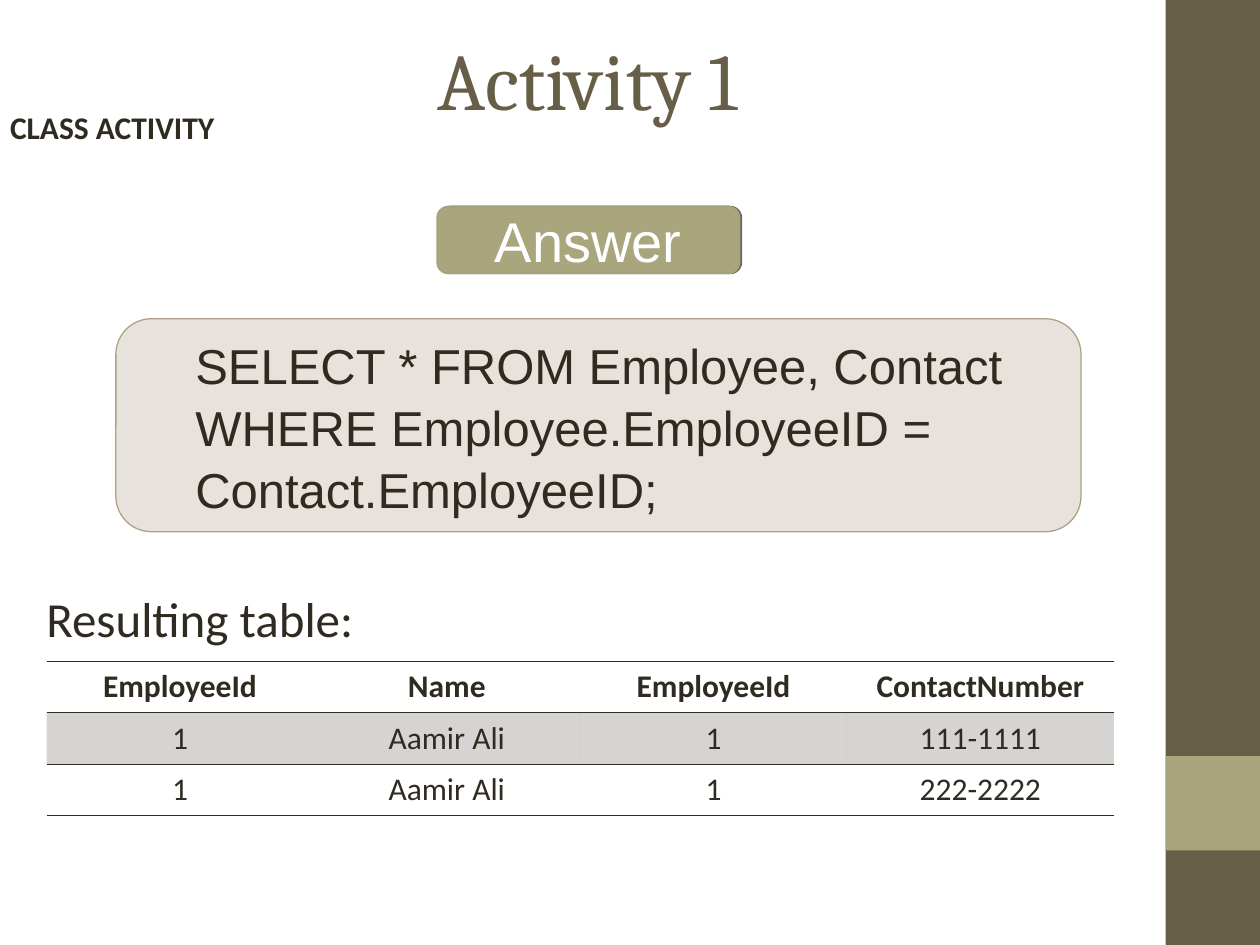
from dataclasses import dataclass

from lxml import etree
from pptx import Presentation
from pptx.dml.color import RGBColor
from pptx.enum.shapes import MSO_SHAPE
from pptx.enum.text import MSO_ANCHOR, PP_ALIGN
from pptx.oxml import parse_xml
from pptx.oxml.ns import nsdecls, qn
from pptx.util import Emu, Inches, Pt

RECT, ROUNDED = MSO_SHAPE.RECTANGLE, MSO_SHAPE.ROUNDED_RECTANGLE
LEFT, CENTER = PP_ALIGN.LEFT, PP_ALIGN.CENTER
TOP, MIDDLE = MSO_ANCHOR.TOP, MSO_ANCHOR.MIDDLE
PLAIN_TABLE = "{2D5ABB26-0587-4C30-8999-92F81FD0307C}"


@dataclass(frozen=True)
class Theme:
    ink: str = "2F2B20"
    brown: str = "675E47"
    olive: str = "A9A57C"
    olive_edge: str = "A6A278"
    sand: str = "B1A089"
    white: str = "FFFFFF"
    heading: str = "Cambria"
    body: str = "Calibri"
    code: str = "Arial"
    title_size: float = 46
    answer_size: float = 32
    text_size: float = 28
    small_size: float = 18
    rule: float = 0.45


THEME = Theme()
WIDTH, HEIGHT = 10, 7.5
TITLE = "Activity 1"
SECTION = "CLASS ACTIVITY"
ANSWER = "Answer"
QUERY = "SELECT * FROM Employee, Contact WHERE Employee.EmployeeID = Contact.EmployeeID;"
RESULT_LABEL = "Resulting table:"
RESULT = [
    ("EmployeeId", "Name", "EmployeeId", "ContactNumber"),
    ("1", "Aamir Ali", "1", "111-1111"),
    ("1", "Aamir Ali", "1", "222-2222"),
]


def box(left, top, width, height):
    return [Inches(length) for length in (left, top, width, height)]


def paint(fill, color, alpha=None):
    fill.solid()
    fill.fore_color.rgb = RGBColor.from_string(color)
    if alpha is not None:
        color_node = fill._xPr.find(qn("a:solidFill"))[0]
        etree.SubElement(color_node, qn("a:alpha")).set("val", str(alpha * 1000))


def write(frame, text, face, size, color, align=LEFT, anchor=TOP, bold=False):
    frame.word_wrap = True
    frame.vertical_anchor = anchor
    frame.text = text
    paragraph = frame.paragraphs[0]
    paragraph.alignment = align
    font = paragraph.font
    font.name, font.size, font.bold = face, Pt(size), bold
    font.color.rgb = RGBColor.from_string(color)
    return paragraph


def add_panel(slide, kind, place, color, alpha=None, edge=None, edge_width=0):
    panel = slide.shapes.add_shape(kind, *box(*place))
    panel.shadow.inherit = False
    paint(panel.fill, color, alpha)
    if edge:
        panel.line.color.rgb = RGBColor.from_string(edge)
        panel.line.width = Pt(edge_width)
    else:
        panel.line.fill.background()
    return panel


def add_label(slide, place, *style, **options):
    label = slide.shapes.add_textbox(*box(*place))
    return label.text_frame, write(label.text_frame, *style, **options)


def rule_cell(cell, sides):
    properties = cell._tc.get_or_add_tcPr()
    for index, side in enumerate(sides):
        properties.insert(index, parse_xml(
            f'<a:ln{side} {nsdecls("a")} w="{Pt(THEME.rule)}"><a:solidFill>'
            f'<a:srgbClr val="{THEME.ink}"/></a:solidFill></a:ln{side}>'))


def add_result(slide, left, top, width, height):
    rows, columns = len(RESULT), len(RESULT[0])
    frame = slide.shapes.add_table(rows, columns, *box(left, top, width, height))
    table = frame.table
    table.first_row = table.horz_banding = False
    table._tbl.tblPr.find(qn("a:tableStyleId")).text = PLAIN_TABLE
    borders = {0: "TB", 1: "T", rows - 1: "B"}
    for row, values in enumerate(RESULT):
        for column, value in enumerate(values):
            cell = table.cell(row, column)
            write(cell.text_frame, value, THEME.body, THEME.small_size,
                  THEME.ink, CENTER, bold=row == 0)
            if row % 2:
                paint(cell.fill, THEME.ink, 20)
            else:
                cell.fill.background()
            rule_cell(cell, borders[row])


def main():
    """Build the class activity slide with its query and resulting table."""
    deck = Presentation()
    deck.slide_width, deck.slide_height = Inches(WIDTH), Inches(HEIGHT)
    slide = deck.slides.add_slide(deck.slide_layouts[5])

    band = HEIGHT / 10
    add_panel(slide, RECT, (WIDTH - band, 0, band, HEIGHT), THEME.brown)
    add_panel(slide, RECT, (WIDTH - band, 8 * band, band, band), THEME.olive)

    title = slide.shapes.title
    title.left, title.top, title.width, title.height = box(0.5, 0, 8.33, 1.25)
    write(title.text_frame, TITLE, THEME.heading, THEME.title_size,
          THEME.brown, CENTER, MIDDLE)

    section_frame, section = add_label(
        slide, (0, 0.91, 8.94, 0.35), SECTION, THEME.body, THEME.small_size,
        THEME.ink, bold=True)
    section_frame.margin_left = section_frame.margin_right = Inches(0.08)
    section_frame.margin_top = section_frame.margin_bottom = Emu(0)
    section.line_spacing = Pt(18)

    query_panel = add_panel(slide, ROUNDED, (0.92, 2.53, 7.66, 1.69),
                            THEME.sand, 30, THEME.sand, 0.75)
    query = write(query_panel.text_frame, QUERY, THEME.code, THEME.text_size,
                  THEME.ink, anchor=MIDDLE)
    query.line_spacing = 1.05
    query._p.get_or_add_pPr().set("marL", str(Inches(0.45)))

    add_result(slide, 0.37, 5.25, 8.47, 1.22)

    answer = add_panel(slide, ROUNDED, (3.47, 1.64, 2.4, 0.53),
                       THEME.olive, edge=THEME.olive_edge, edge_width=1)
    write(answer.text_frame, ANSWER, THEME.code, THEME.answer_size,
          THEME.white, CENTER, MIDDLE)
    effects = answer._element.spPr.find(qn("a:effectLst"))
    effects.append(parse_xml(
        f'<a:outerShdw {nsdecls("a")} blurRad="0" dist="{Pt(1)}" dir="0">'
        '<a:srgbClr val="000000"><a:alpha val="60000"/></a:srgbClr></a:outerShdw>'))

    add_label(slide, (0.27, 4.62, 8.6, 0.6), RESULT_LABEL, THEME.body,
              THEME.text_size, THEME.ink)
    deck.save("out.pptx")


if __name__ == "__main__":
    main()
